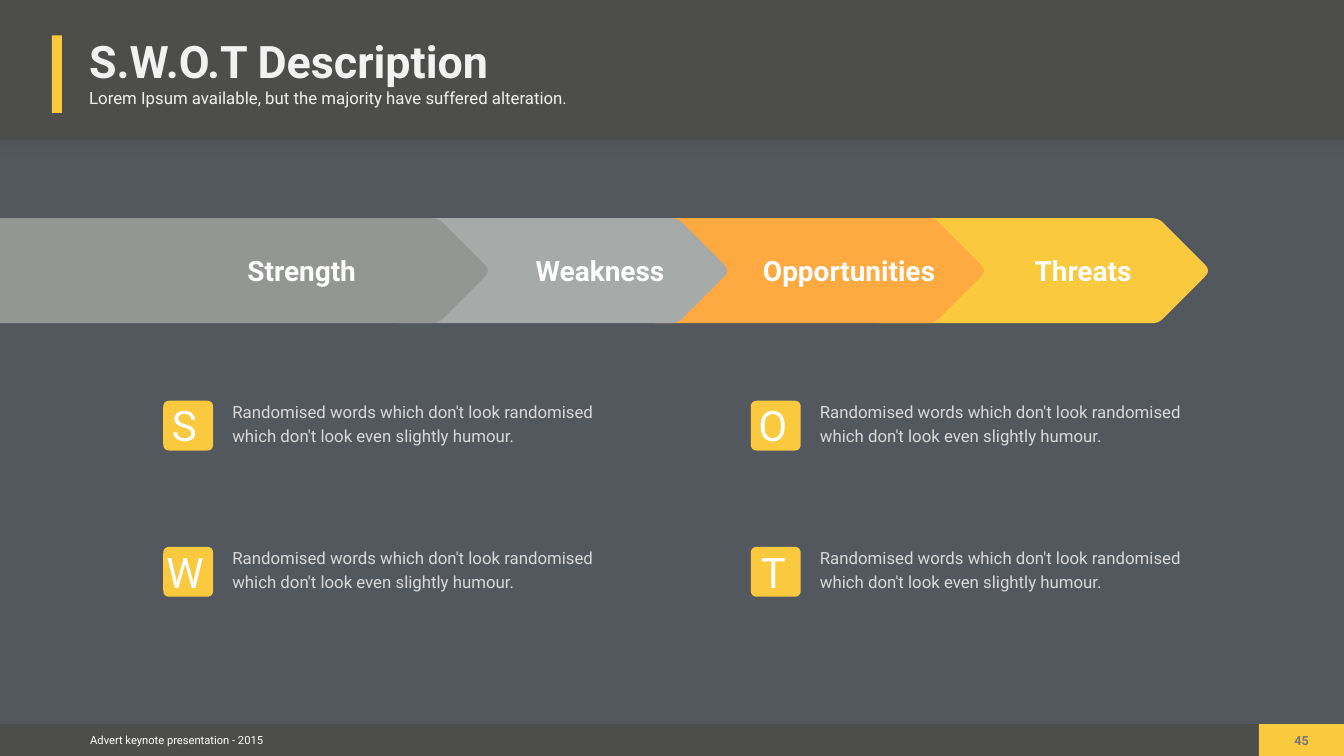
from pptx import Presentation
from pptx.dml.color import RGBColor
from pptx.enum.shapes import MSO_SHAPE as SHAPE
from pptx.enum.text import MSO_ANCHOR as ANCHOR, MSO_AUTO_SIZE as AUTO, PP_ALIGN as ALIGN
from pptx.oxml import parse_xml
from pptx.util import Inches, Pt

FONT = "Roboto"
SLATE = RGBColor(0x53, 0x58, 0x5F)
CHARCOAL = RGBColor(0x4D, 0x4E, 0x4C)
YELLOW = RGBColor(0xFA, 0xC9, 0x3D)
ORANGE = RGBColor(0xFF, 0xA9, 0x41)
SILVER = RGBColor(0xA6, 0xAA, 0xA9)
GRAY = RGBColor(0x94, 0x96, 0x93)
DARK_GRAY = RGBColor(0x77, 0x77, 0x76)
LIGHT_GRAY = RGBColor(0xD9, 0xD9, 0xD9)
OFF_WHITE = RGBColor(0xF2, 0xF2, 0xF2)
WHITE = RGBColor(0xFF, 0xFF, 0xFF)

WIDTH, HEIGHT = 26.67, 15
UNITS_PER_INCH = 1000
DESCRIPTION = "Randomised words which don't look randomised which don't look even slightly humour."
STAGES = [
    ("Threats", 17.24, 6.73, YELLOW, 20.53, 2.02),
    ("Opportunities", 12.79, 6.73, ORANGE, 15.14, 3.54),
    ("Weakness", 7.7, 6.73, SILVER, 10.63, 2.68),
    ("Strength", -0.68, 10.36, GRAY, 4.91, 2.29),
]
LETTERS = [("S", 0, 0, 0.65), ("W", 0, 1, 0.87), ("O", 1, 0, 0.69), ("T", 1, 1, 0.59)]
SHADOW = (
    '<a:effectLst xmlns:a="http://schemas.openxmlformats.org/drawingml/2006/main">'
    '<a:outerShdw blurRad="330200" dist="25400" dir="5400000" rotWithShape="0">'
    '<a:srgbClr val="000000"><a:alpha val="5000"/></a:srgbClr></a:outerShdw></a:effectLst>'
)


def box(x, y, w, h):
    return [Inches(v) for v in (x, y, w, h)]


def paint(sp, color):
    sp.shadow.inherit = False
    sp.fill.solid()
    sp.fill.fore_color.rgb = color
    sp.line.fill.background()
    return sp


def add_block(s, x, y, w, h, color):
    return paint(s.shapes.add_shape(SHAPE.RECTANGLE, *box(x, y, w, h)), color)


def set_text(sp, text, size, color, bold=False, align=ALIGN.LEFT,
             anchor=ANCHOR.TOP, inset=0, wrap=False, fit=AUTO.SHAPE_TO_FIT_TEXT):
    tf = sp.text_frame
    tf.text = text
    tf.word_wrap = wrap
    tf.auto_size = fit
    tf.vertical_anchor = anchor
    tf.margin_left = tf.margin_right = tf.margin_top = tf.margin_bottom = Inches(inset)
    p = tf.paragraphs[0]
    p.alignment = align
    p.font.name, p.font.size, p.font.bold = FONT, Pt(size), bold
    p.font.color.rgb = color
    return p


def add_text(s, x, y, w, h, text, size, color, **options):
    return set_text(s.shapes.add_textbox(*box(x, y, w, h)), text, size, color, **options)


def add_rounded_outline(s, corners, color, steps=6):
    points = []
    for i, (x, y, cut) in enumerate(corners):
        ends = []
        for nx, ny, _ in (corners[i - 1], corners[(i + 1) % len(corners)]):
            length = ((nx - x) ** 2 + (ny - y) ** 2) ** 0.5
            ends.append((x + (nx - x) * cut / length, y + (ny - y) * cut / length))
        (ax, ay), (bx, by) = ends
        for k in range(steps + 1):
            t = k / steps
            a, c, b = (1 - t) ** 2, 2 * t * (1 - t), t ** 2
            points.append(((a * ax + c * x + b * bx) * UNITS_PER_INCH,
                           (a * ay + c * y + b * by) * UNITS_PER_INCH))
    fb = s.shapes.build_freeform(*points[0], scale=Inches(1) / UNITS_PER_INCH)
    fb.add_line_segments(points[1:], close=True)
    return paint(fb.convert_to_shape(), color)


def add_header(s, x, y, w, h):
    band = add_block(s, x, y, w, h, CHARCOAL)
    band.shadow.inherit = True
    band.element.spPr.append(parse_xml(SHADOW))
    add_block(s, x + 1.03, y + 0.7, 0.2, 1.54, YELLOW)
    title = s.shapes.title
    title.left, title.top, title.width, title.height = box(x + 1.69, y + 0.59, 8.21, 1.23)
    set_text(title, "S.W.O.T Description", 64, OFF_WHITE, bold=True,
             anchor=ANCHOR.MIDDLE, inset=0.08)
    title.element.getparent().append(title.element)
    add_text(s, x + 1.69, y + 1.67, 10.74, 0.56,
             "Lorem Ipsum available, but the majority have suffered alteration.",
             24, OFF_WHITE, inset=0.08, wrap=True)


def add_footer(s, x, y, w, h):
    add_block(s, x, y, w, h, CHARCOAL)
    add_text(s, x + 1.71, y + 0.09, 3.65, 0.45, "Advert keynote presentation - 2015",
             16, WHITE, anchor=ANCHOR.MIDDLE, inset=0.08)
    add_block(s, x + w - 1.69, y, 1.69, h, YELLOW)
    add_text(s, x + w - 1.07, y + 0.1, 0.46, 0.49, "45", 18, DARK_GRAY, bold=True,
             align=ALIGN.CENTER, inset=0.08, fit=AUTO.NONE)


def add_arrow(s, x, y, w, h, color):
    right = x + w + 0.06
    shoulder = right - h / 2
    corners = [(x, y, 0.2), (shoulder, y, 0.12), (right, y + h / 2, 0.17),
               (shoulder, y + h, 0.12), (x, y + h, 0.2)]
    add_rounded_outline(s, corners, color)


def add_stages(s, y, h):
    for _, x, w, color, _, _ in STAGES:
        add_arrow(s, x, y, w, h, color)
    for label, _, _, _, x, w in reversed(STAGES):
        add_text(s, x, y + 0.61, w, 0.85, label, 40, WHITE, bold=True,
                 anchor=ANCHOR.MIDDLE)


def add_badge(s, x, y, side, letter, letter_width):
    group = s.shapes.add_group_shape()
    cx, cy, reach = x + side / 2, y + side / 2, side / 2 ** 0.5
    corners = [(cx, cy - reach, 0.13), (cx + reach, cy, 0.13),
               (cx, cy + reach, 0.13), (cx - reach, cy, 0.13)]
    add_rounded_outline(group, corners, YELLOW).rotation = 315
    add_text(group, cx - letter_width / 2, y - 0.12, letter_width, 1.21, letter,
             60, WHITE, anchor=ANCHOR.MIDDLE)


def add_item(s, x, y, letter, letter_width):
    p = add_text(s, x + 1.37, y - 0.06, 7.71, 1.47, DESCRIPTION, 24, LIGHT_GRAY,
                 wrap=True, fit=AUTO.NONE)
    p.line_spacing = 1.2
    add_badge(s, x, y, 0.99, letter, letter_width)


def add_items(s, x, y, column_step, row_step):
    for letter, column, row, letter_width in LETTERS:
        add_item(s, x + column * column_step, y + row * row_step, letter, letter_width)


def main():
    prs = Presentation()
    prs.slide_width, prs.slide_height = Inches(WIDTH), Inches(HEIGHT)
    s = prs.slides.add_slide(prs.slide_layouts.get_by_name("Title Only"))
    s.background.fill.solid()
    s.background.fill.fore_color.rgb = SLATE
    add_header(s, 0, 0, WIDTH, 2.78)
    add_footer(s, 0, 14.37, WIDTH, 0.63)
    add_stages(s, 4.33, 2.08)
    add_items(s, 3.24, 7.95, 11.66, 2.9)
    prs.save("out.pptx")


if __name__ == "__main__":
    main()
